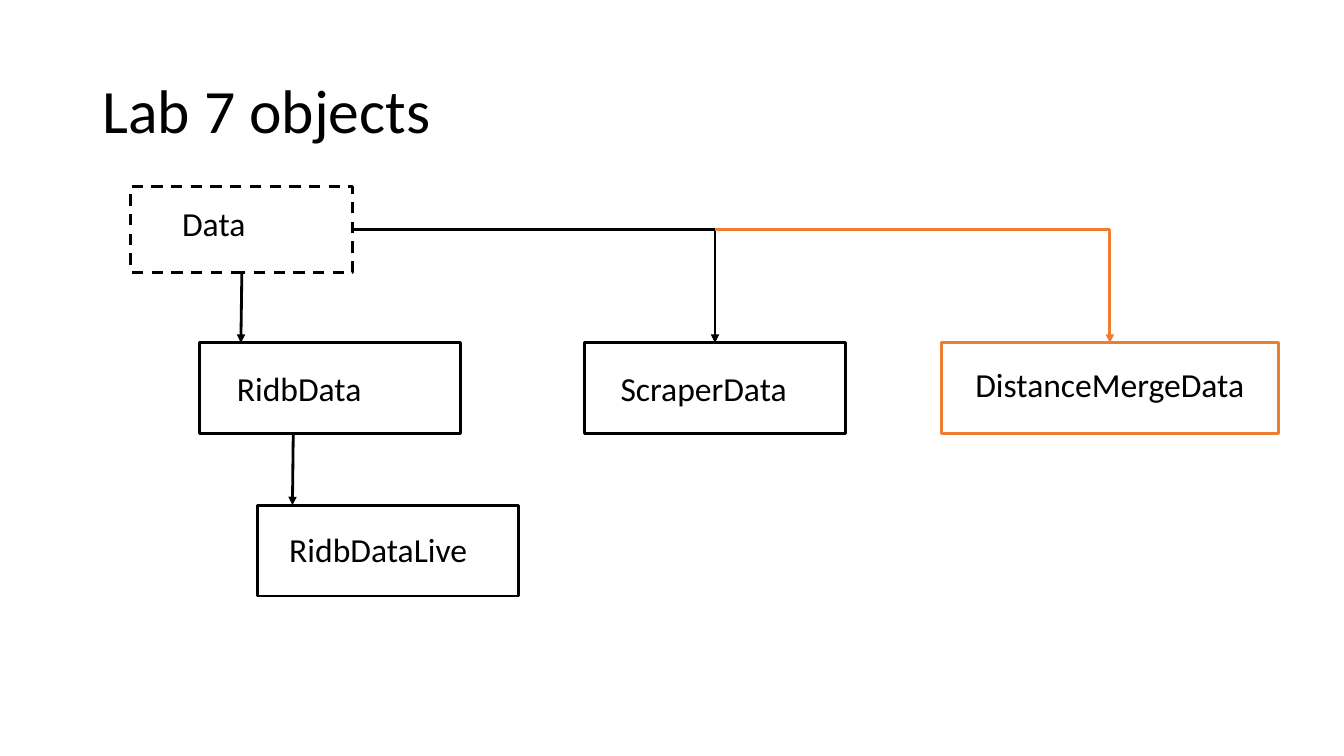
from dataclasses import dataclass

from lxml import etree
from pptx import Presentation
from pptx.dml.color import RGBColor
from pptx.enum import dml, shapes, text
from pptx.oxml import ns
from pptx.util import Cm, Pt


@dataclass(frozen=True)
class Theme:
    ink: RGBColor = RGBColor(0, 0, 0)
    accent: RGBColor = RGBColor(0xED, 0x7D, 0x31)
    font: str = "Calibri"
    title: Pt = Pt(44)
    label: Pt = Pt(24)
    line: Pt = Pt(2)


theme = Theme()


def write(frame, words, size):
    para = frame.paragraphs[0]
    para.alignment = text.PP_ALIGN.LEFT
    run = para.add_run()
    run.text = words
    run.font.name = theme.font
    run.font.size = size
    run.font.color.rgb = theme.ink
    return para


def arrow(kind, start, end, color):
    link = slide.shapes.add_connector(kind, *map(Cm, start + end))
    link.line.color.rgb = color
    link.line.width = theme.line
    props = link._element.spPr
    etree.SubElement(props.find(ns.qn("a:ln")), ns.qn("a:tailEnd"), type="triangle")
    etree.SubElement(props, ns.qn("a:effectLst"))
    return link


deck = Presentation()
deck.slide_width, deck.slide_height = Cm(33.87), Cm(19.05)
slide = deck.slides.add_slide(deck.slide_layouts[5])

title = slide.shapes.title
title.left, title.top, title.width, title.height = Cm(2.33), Cm(1.02), Cm(29.21), Cm(3.68)
title.text_frame.vertical_anchor = text.MSO_ANCHOR.MIDDLE
write(title.text_frame, "Lab 7 objects", theme.title).line_spacing = 0.9

# Class boxes: name, box left, top, width, height, label left, top, width, colour
row, wide, high = 8.64, 6.58, 2.29
classes = [
    ("Data", 3.3, 4.7, 5.59, 2.16, 4.34, 5, 2.13, theme.ink),
    ("RidbData", 5.03, row, wide, high, 5.72, 9.14, 3.68, theme.ink),
    ("RidbDataLive", 6.48, 12.73, wide, high, 7.04, 13.21, 5.05, theme.ink),
    ("ScraperData", 14.73, row, wide, high, 15.39, 9.14, 4.75, theme.ink),
    ("DistanceMergeData", 23.72, row, 8.51, high, 24.33, 9.04, 7.37, theme.accent),
]
boxes = {}
for name, left, top, width, height, x, y, span, color in classes:
    box = slide.shapes.add_shape(
        shapes.MSO_SHAPE.RECTANGLE, Cm(left), Cm(top), Cm(width), Cm(height))
    box.shadow.inherit = False
    box.fill.background()
    box.line.color.rgb = color
    box.line.width = theme.line
    boxes[name] = box

    label = slide.shapes.add_textbox(Cm(x), Cm(y), Cm(span), Cm(1.28))
    label.text_frame.word_wrap = False
    label.text_frame.auto_size = text.MSO_AUTO_SIZE.SHAPE_TO_FIT_TEXT
    write(label.text_frame, name, theme.label)
boxes["Data"].line.dash_style = dml.MSO_LINE.DASH

# Straight arrows down the left branch
straight = shapes.MSO_CONNECTOR.STRAIGHT
arrow(straight, (6.1, 6.86), (6.07, row), theme.ink).begin_connect(boxes["Data"], 2)
arrow(straight, (7.39, row + high), (7.37, 12.73), theme.ink)

# One-bend arrows to the other subclasses
level, fork, far = 5.78, 18.02, 27.97
for start, end, color in [(8.89, fork, theme.ink), (fork, far, theme.accent)]:
    bend = arrow(shapes.MSO_CONNECTOR.ELBOW, (start, level), (end, row), color)
    bend._element.spPr.find(ns.qn("a:prstGeom")).set("prst", "bentConnector2")

deck.save("out.pptx")
